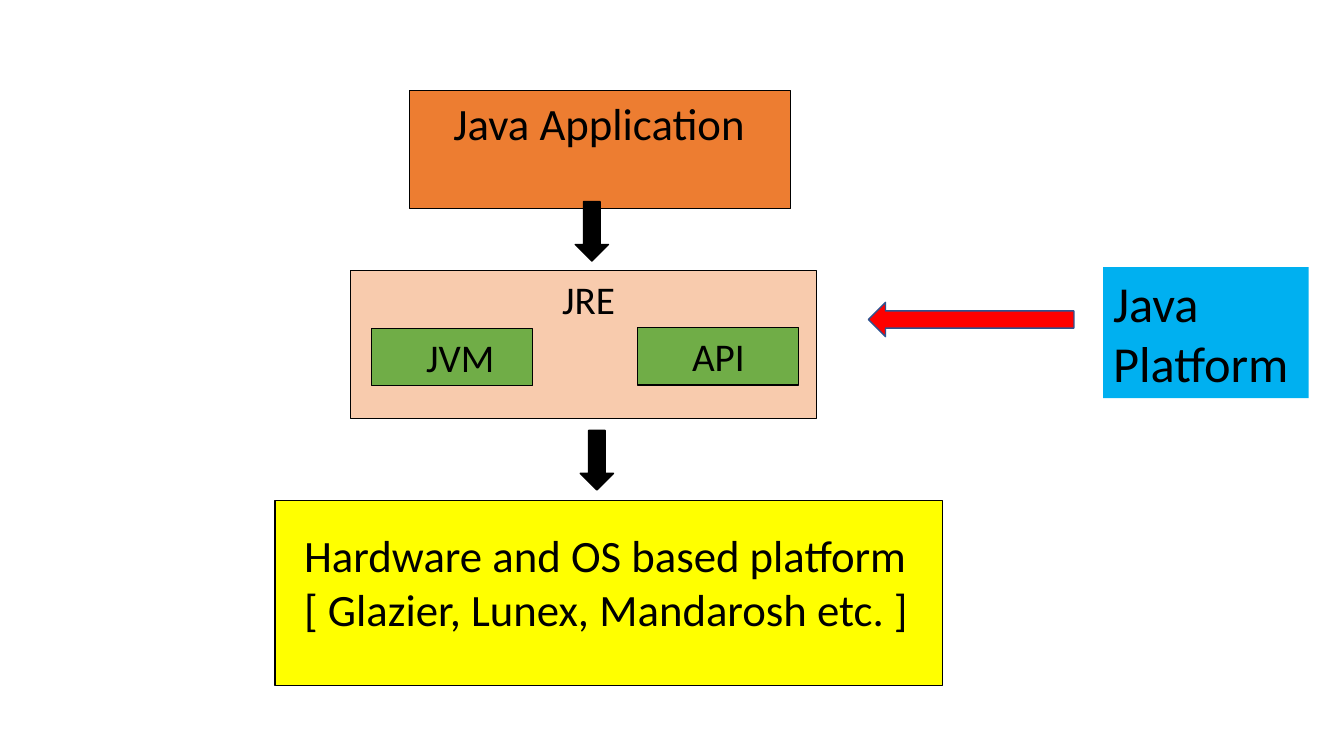
from pptx import Presentation
from pptx.dml.color import RGBColor
from pptx.enum.shapes import MSO_SHAPE as Shape
from pptx.enum.text import MSO_ANCHOR as Anchor, PP_ALIGN as Align
from pptx.util import Inches, Pt

COLORS = {
    "black": "000000", "orange": "ED7D31", "peach": "F8CBAD", "green": "70AD47",
    "yellow": "FFFF00", "sky": "00B0F0", "red": "FF0000", "navy": "2F528F",
}
CELL = 0.1  # side of one grid cell in inches
FONT = "Calibri"


def color(name):
    return RGBColor.from_string(COLORS[name])


class Diagram:
    """Draws on one page; places are (column, row, columns, rows)."""

    def __init__(self, deck):
        self.page = deck.slides.add_slide(deck.slide_layouts[6])

    def place(self, cells):
        return [Inches(cell * CELL) for cell in cells]

    def shape(self, kind, cells, fill, line="black", width=0.75):
        shape = self.page.shapes.add_shape(kind, *self.place(cells))
        shape.shadow.inherit = False
        shape.fill.solid()
        shape.fill.fore_color.rgb = color(fill)
        if line:
            shape.line.color.rgb = color(line)
            shape.line.width = Pt(width)
        else:
            shape.line.fill.background()
        return shape

    def add_lines(self, shape, lines, size, indent=1):
        frame = shape.text_frame
        layout = {
            "word_wrap": True, "vertical_anchor": Anchor.TOP,
            "margin_left": Inches(indent * CELL), "margin_right": Inches(CELL),
            "margin_top": Inches(0.05), "margin_bottom": Inches(0.05),
        }
        for name, value in layout.items():
            setattr(frame, name, value)
        for index, line in enumerate(lines):
            para = frame.paragraphs[0] if index == 0 else frame.add_paragraph()
            para.alignment = Align.LEFT
            span = para.add_run()
            span.text = line
            for name, value in {"name": FONT, "size": Pt(size)}.items():
                setattr(span.font, name, value)
            span.font.color.rgb = color("black")

    def box(self, cells, fill, lines=(), size=28, indent=1, line="black"):
        self.add_lines(self.shape(Shape.RECTANGLE, cells, fill, line), lines, size, indent)

    def label(self, cells, lines, size):
        self.add_lines(self.page.shapes.add_textbox(*self.place(cells)), lines, size)

    def arrow(self, kind, cells, fill, line="black"):
        self.shape(kind, cells, fill, line, width=1)


def main():
    deck = Presentation()
    deck.slide_width, deck.slide_height = Inches(13.34), Inches(7.5)
    diagram = Diagram(deck)

    # Layers of the stack
    diagram.box((27.3, 49.7, 66.3, 18.3), "yellow")
    diagram.box((34.8, 26.8, 46.2, 14.7), "peach", ["JRE"], indent=21)
    diagram.box((40.6, 9, 37.9, 11.7), "orange", ["Java Application"], 32, indent=4.4)

    # Parts of the runtime
    for name, column, row in (("JVM", 36.9, 32.6), ("API", 63.3, 32.5)):
        diagram.box((column, row, 16, 5.7), "green", [name], indent=5.4)

    # Labels
    diagram.label((29.2, 51.9, 65.4, 11.7), [
        "Hardware and OS based platform",
        "[ Glazier, Lunex, Mandarosh etc. ]",
    ], 32)
    diagram.box((109.5, 26.5, 20.4, 13), "sky", ["Java", "Platform"], 36, line=None)

    # Arrows
    for column, row in ((57.6, 42.7), (57.1, 20)):
        diagram.arrow(Shape.DOWN_ARROW, (column, row, 3.3, 5.9), "black")
    diagram.arrow(Shape.LEFT_ARROW, (86.2, 30, 20.4, 3.4), "red", "navy")

    deck.save("out.pptx")


if __name__ == "__main__":
    main()
